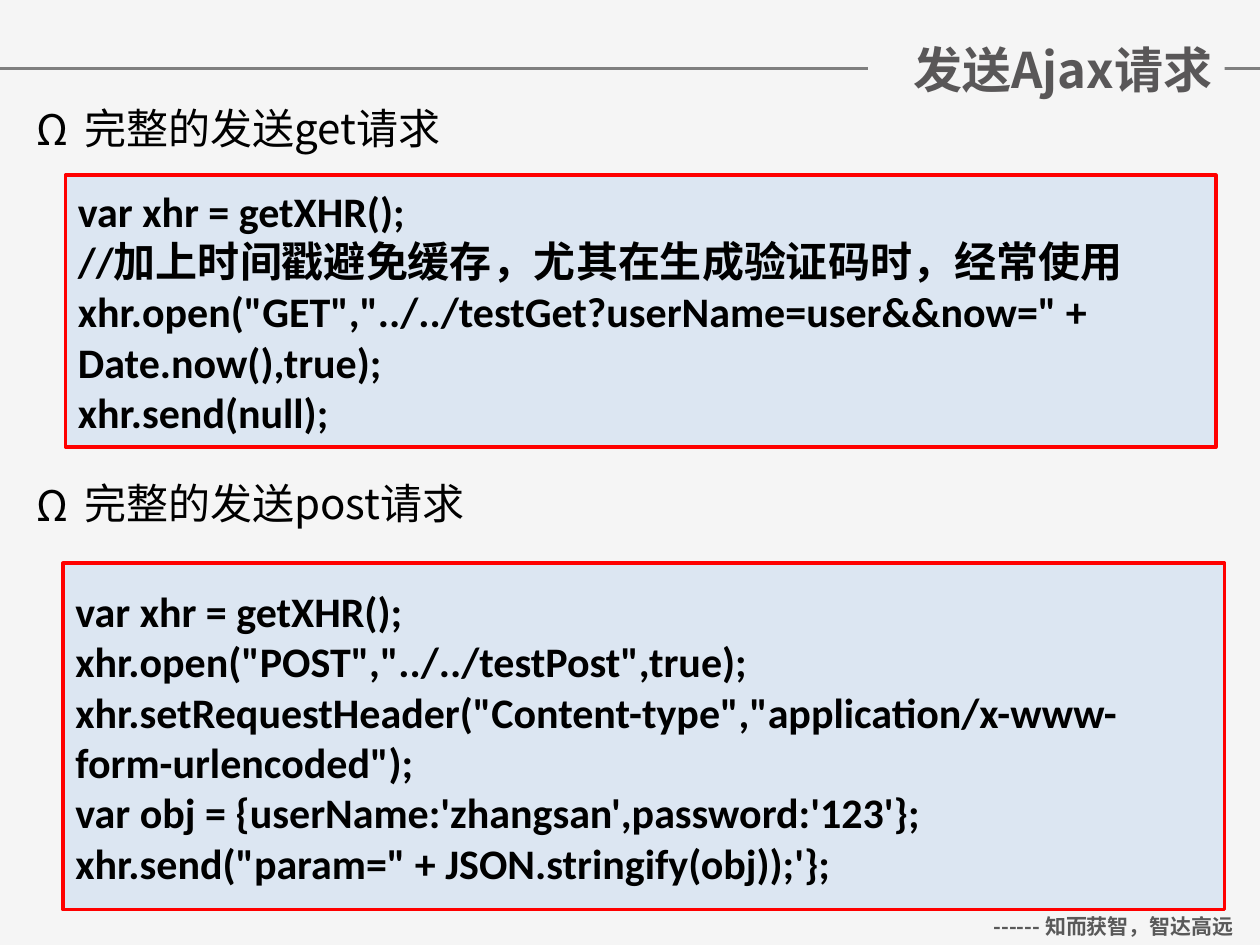
from lxml import etree
from pptx import Presentation, util as u
from pptx.dml.color import RGBColor
from pptx.enum import shapes, text
from pptx.oxml.ns import qn

COLORS = {"back": "F5F5F5", "rule": "7F7F7F", "title": "595758", "footer": "595959",
          "ink": "000000", "code": "DCE6F2", "border": "FF0000"}
CJK = "Noto Sans CJK SC"
W, H = 10, 7.5

GET_CODE = [
    "var xhr = getXHR();",
    "//加上时间戳避免缓存，尤其在生成验证码时，经常使用",
    'xhr.open("GET","../../testGet?userName=user&&now=" + Date.now(),true);',
    "xhr.send(null);",
]
POST_CODE = [
    "var xhr = getXHR();",
    'xhr.open("POST","../../testPost",true);',
    'xhr.setRequestHeader("Content-type","application/x-www-form-urlencoded");',
    "var obj = {userName:'zhangsan',password:'123'};",
    'xhr.send("param=" + JSON.stringify(obj));\'};',
]


def rgb(name):
    return RGBColor.from_string(COLORS[name])


def inches(box):
    return [u.Inches(v) for v in box]


def place(sp, box):
    sp.left, sp.top, sp.width, sp.height = inches(box)


def frame(sp, anchor):
    tf = sp.text_frame
    tf.word_wrap = True
    tf.auto_size = text.MSO_AUTO_SIZE.NONE
    tf.vertical_anchor = anchor
    tf.margin_left = tf.margin_right = u.Inches(0.1)
    tf.margin_top = tf.margin_bottom = u.Inches(0.05)
    return tf


def add_run(p, words, size, color, bold=False, font=CJK):
    r = p.add_run()
    r.text = words
    r.font.size, r.font.bold, r.font.name = u.Pt(size), bold, font
    r.font.color.rgb = rgb(color)
    # East Asian glyphs take their own typeface
    r.font._element.find(qn("a:latin")).addnext(
        etree.Element(qn("a:ea"), typeface=CJK))


def add_bullet(p, char, indent):
    pPr = p._p.get_or_add_pPr()
    pPr.set("marL", str(u.Inches(indent)))
    pPr.set("indent", str(-u.Inches(indent)))
    clr = etree.SubElement(pPr, qn("a:buClr"))
    etree.SubElement(clr, qn("a:srgbClr"), val=COLORS["ink"])
    etree.SubElement(pPr, qn("a:buFont"), typeface=CJK)
    etree.SubElement(pPr, qn("a:buChar"), char=char)


def header(s, box):
    left, top, width, height = box
    title = s.shapes.title
    place(title, box)
    title.fill.solid()
    title.fill.fore_color.rgb = rgb("back")
    p = frame(title, text.MSO_ANCHOR.MIDDLE).paragraphs[0]
    p.alignment = text.PP_ALIGN.RIGHT
    add_run(p, "发送Ajax请求", 28, "title", True)

    # Rule across the slide, behind the title
    y = u.Inches(top + height / 2)
    line = s.shapes.add_connector(shapes.MSO_CONNECTOR.STRAIGHT, 0, y, u.Inches(W), y)
    line.line.color.rgb = rgb("rule")
    line.line.width = u.Pt(2)
    etree.SubElement(line.element.spPr, qn("a:effectLst"))
    title.element.addprevious(line.element)


def topics(s, box, items, gap):
    body = s.placeholders[1]
    place(body, box)
    tf = frame(body, text.MSO_ANCHOR.TOP)
    for i, words in enumerate(items):
        p = tf.add_paragraph() if i else tf.paragraphs[0]
        add_bullet(p, "Ω", 0.38)
        p.space_before = u.Pt(gap if i else 0)
        add_run(p, words, 24, "ink")


def code_box(s, box, lines):
    sp = s.shapes.add_shape(shapes.MSO_SHAPE.RECTANGLE, *inches(box))
    sp.shadow.inherit = False
    sp.fill.solid()
    sp.fill.fore_color.rgb = rgb("code")
    sp.line.color.rgb = rgb("border")
    sp.line.width = u.Pt(2)
    p = frame(sp, text.MSO_ANCHOR.MIDDLE).paragraphs[0]
    p.alignment = text.PP_ALIGN.LEFT
    for i, words in enumerate(lines):
        if i:
            p.add_line_break()
        add_run(p, words, 24, "ink", True, "Calibri")


def footer(s, box):
    tb = s.shapes.add_textbox(*inches(box))
    p = frame(tb, text.MSO_ANCHOR.TOP).paragraphs[0]
    p.alignment = text.PP_ALIGN.CENTER
    add_run(p, "------ 知而获智，智达高远", 12, "footer", True)


def main():
    prs = Presentation()
    prs.slide_width, prs.slide_height = u.Inches(W), u.Inches(H)
    s = prs.slides.add_slide(prs.slide_layouts[1])
    s.background.fill.solid()
    s.background.fill.fore_color.rgb = rgb("back")

    header(s, (6.89, 0.26, 2.83, 0.57))
    topics(s, (0.19, 0.76, 9.53, 5.99), ["完整的发送get请求", "完整的发送post请求"], 186)
    code_box(s, (0.52, 1.39, 9.13, 2.16), GET_CODE)
    code_box(s, (0.5, 4.47, 9.22, 2.75), POST_CODE)
    footer(s, (7.68, H - 0.3, 2.32, 0.3))
    prs.save("out.pptx")


if __name__ == "__main__":
    main()
